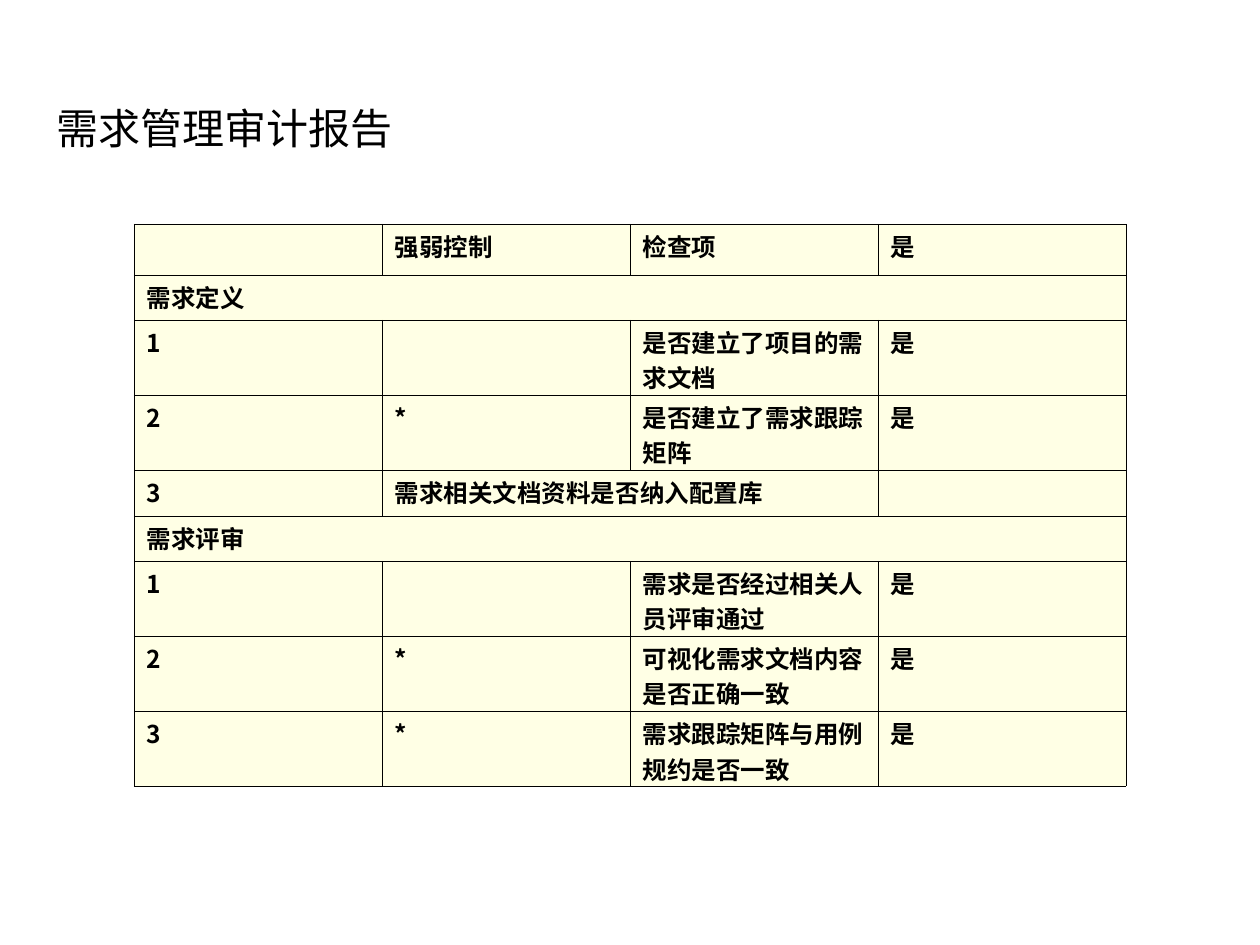
"""Build the requirements management audit report slide."""
from lxml import etree
from pptx import Presentation
from pptx.dml.color import RGBColor
from pptx.enum.text import MSO_ANCHOR, MSO_AUTO_SIZE, PP_ALIGN
from pptx.oxml.ns import qn
from pptx.util import Pt

LEFT, MIDDLE, NO_FIT = PP_ALIGN.LEFT, MSO_ANCHOR.MIDDLE, MSO_AUTO_SIZE.NONE
PX = 914400 // 126
FONT = "Noto Sans CJK SC"
INK, CREAM = "000000", "FFFFCC"
BORDER_WIDTH = 2921

TITLE = "需求管理审计报告"
CHECKLIST = [
    ("", "强弱控制", "检查项", "是"),
    ("需求定义",),
    ("1", "", "是否建立了项目的需求文档", "是"),
    ("2", "*", "是否建立了需求跟踪矩阵", "是"),
    ("3", "需求相关文档资料是否纳入配置库", None, ""),
    ("需求评审",),
    ("1", "", "需求是否经过相关人员评审通过", "是"),
    ("2", "*", "可视化需求文档内容是否正确一致", "是"),
    ("3", "*", "需求跟踪矩阵与用例规约是否一致", "是"),
]
ROW_HEIGHTS = [51, 45, 75, 75, 46, 45, 75, 75, 75]
COLUMN_COUNT, COLUMN_WIDTH = 4, 248
TABLE_LEFT, TABLE_TOP = 134, 224


def px(length):
    return length * PX


def color(value):
    return RGBColor.from_string(value)


def style(paragraph, size, bold):
    paragraph.alignment = LEFT
    font = paragraph.font
    font.name, font.size, font.bold = FONT, Pt(size), bold
    font.color.rgb = color(INK)
    defaults = paragraph._p.pPr.find(qn("a:defRPr"))
    etree.SubElement(defaults, qn("a:ea"), typeface=FONT)


def paint(cell):
    cell.fill.solid()
    cell.fill.fore_color.rgb = color(CREAM)
    properties = cell._tc.tcPr
    shade = properties.find(qn("a:solidFill"))[0]
    etree.SubElement(shade, qn("a:alpha"), val="50000")
    for position, side in enumerate(("a:lnL", "a:lnR", "a:lnT", "a:lnB")):
        border = etree.Element(qn(side), w=str(BORDER_WIDTH))
        fill = etree.SubElement(border, qn("a:solidFill"))
        etree.SubElement(fill, qn("a:srgbClr"), val=INK)
        properties.insert(position, border)


def add_title(slide):
    title = slide.shapes.title
    title.left, title.top, title.width, title.height = map(px, (44, 96, 367, 63))
    frame = title.text_frame
    frame.text = TITLE
    frame.word_wrap, frame.auto_size = False, NO_FIT
    frame.vertical_anchor = MIDDLE
    style(frame.paragraphs[0], 24, False)


def add_checklist(slide):
    table = slide.shapes.add_table(
        len(CHECKLIST), COLUMN_COUNT, px(TABLE_LEFT), px(TABLE_TOP),
        px(COLUMN_WIDTH * COLUMN_COUNT), px(sum(ROW_HEIGHTS))).table
    table.first_row = table.horz_banding = False
    for column in table.columns:
        column.width = px(COLUMN_WIDTH)
    for r, (entries, height) in enumerate(zip(CHECKLIST, ROW_HEIGHTS)):
        table.rows[r].height = px(height)
        padded = entries + (None,) * (COLUMN_COUNT - len(entries))
        for c, entry in enumerate(padded):
            cell = table.cell(r, c)
            cell.margin_top, cell.margin_bottom = px(5), 0
            paint(cell)
            cell.text = entry or ""
            paragraph = cell.text_frame.paragraphs[0]
            paragraph.line_spacing = Pt(20)
            style(paragraph, 14, True)
        merged = [c for c, entry in enumerate(padded) if entry is None]
        if merged:
            table.cell(r, merged[0] - 1).merge(table.cell(r, merged[-1]))


def main():
    deck = Presentation()
    deck.slide_width, deck.slide_height = px(1260), px(945)
    slide = deck.slides.add_slide(deck.slide_layouts[5])
    add_title(slide)
    add_checklist(slide)
    deck.save("out.pptx")


if __name__ == "__main__":
    main()
